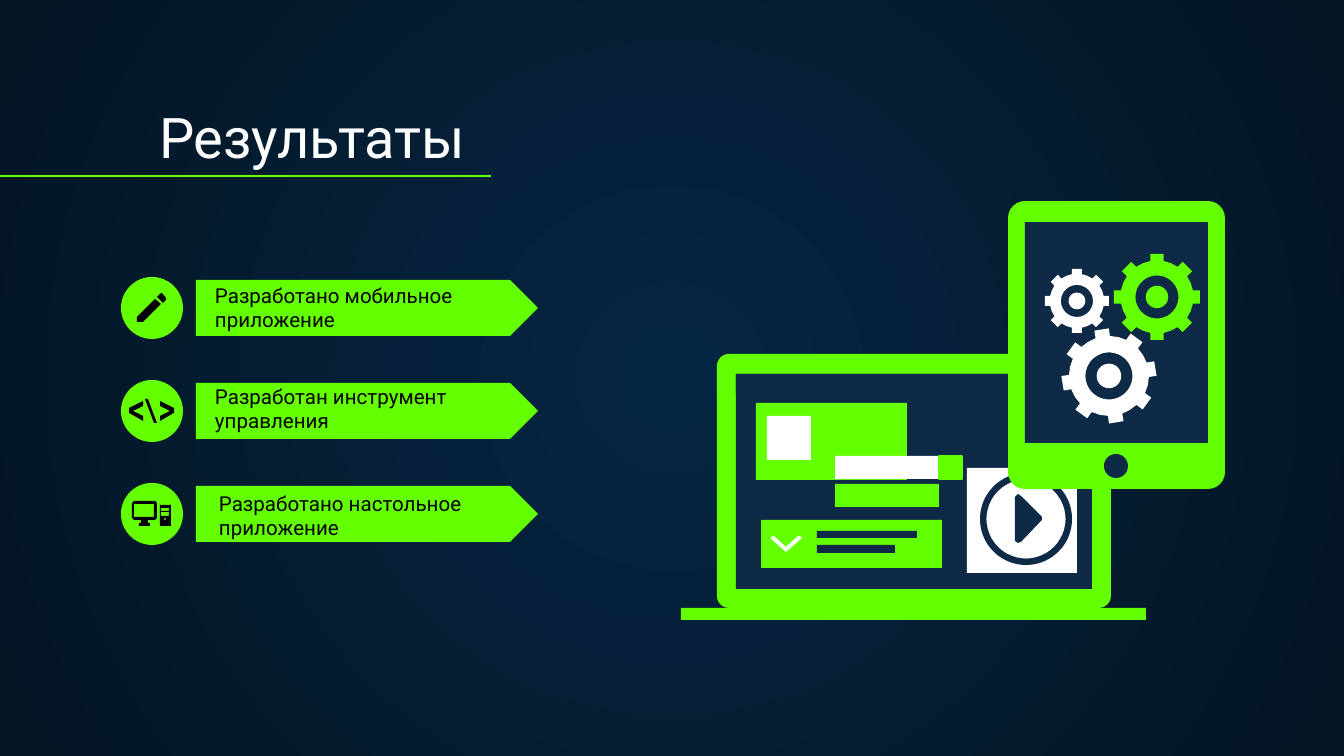
import math

from lxml import etree
from pptx import Presentation
from pptx import util as u
from pptx.dml.color import RGBColor
from pptx.enum import shapes, text
from pptx.oxml.ns import qn

SCALE = 914400 / 134.4
GREEN = RGBColor(0x64, 0xFF, 0x00)
NAVY = RGBColor(0x0E, 0x2A, 0x47)
GLOW = RGBColor(0x05, 0x26, 0x43)
EDGE = RGBColor(0x04, 0x15, 0x23)
WHITE = RGBColor(0xFF, 0xFF, 0xFF)
BLACK = RGBColor(0x00, 0x00, 0x00)
Shape = shapes.MSO_SHAPE


def px(value):
    return u.Emu(round(value * SCALE))


def box(left, top, width, height):
    right, bottom = left + width, top + height
    return [(left, top), (right, top), (right, bottom), (left, bottom)]


def circle(x, y, radius, steps=48):
    angles = [2 * math.pi * step / steps for step in range(steps)]
    return [(x + radius * math.cos(a), y + radius * math.sin(a)) for a in angles]


class SlideBuilder:
    font = "Roboto"
    inset = 13

    def __init__(self, presentation):
        self.slide = presentation.slides.add_slide(presentation.slide_layouts[6])

    def background(self, center, edge):
        fill = self.slide.background.fill
        fill.gradient()
        for stop, color in zip(fill.gradient_stops, (center, edge)):
            stop.color.rgb = color
        gradient = self.slide.element.find(".//" + qn("a:gradFill"))
        gradient.remove(gradient.find(qn("a:lin")))
        radial = etree.SubElement(gradient, qn("a:path"), {"path": "circle"})
        sides = dict.fromkeys("ltrb", "50000")
        etree.SubElement(radial, qn("a:fillToRect"), sides)

    def paint(self, shape, color):
        shape.shadow.inherit = False
        shape.fill.solid()
        shape.fill.fore_color.rgb = color
        shape.line.fill.background()
        return shape

    def preset(self, kind, left, top, width, height, color, adjustment=None):
        shape = self.slide.shapes.add_shape(
            kind, px(left), px(top), px(width), px(height))
        if adjustment is not None:
            shape.adjustments[0] = adjustment
        return self.paint(shape, color)

    def rectangle(self, left, top, width, height, color):
        return self.preset(Shape.RECTANGLE, left, top, width, height, color)

    def rounded(self, left, top, width, height, radius, color):
        self.preset(Shape.ROUNDED_RECTANGLE, left, top, width, height, color,
                    radius / min(width, height))

    def outline(self, color, *contours):
        builder = None
        for contour in contours:
            points = [(px(x), px(y)) for x, y in contour]
            if builder is None:
                builder = self.slide.shapes.build_freeform(*points[0])
            else:
                builder.move_to(*points[0])
            builder.add_line_segments(points[1:], close=True)
        self.paint(builder.convert_to_shape(), color)

    def gear(self, x, y, radius, color, tilt=0):
        body, half = 0.85 * radius, 0.155 * radius
        root = math.sqrt(body ** 2 - half ** 2)
        teeth = []
        for tooth in range(8):
            angle = math.radians(45 * tooth + tilt)
            profile = [(root, -half), (radius, -half), (radius, half), (root, half)]
            profile.append((body * math.cos(math.pi / 8), body * math.sin(math.pi / 8)))
            teeth += [(x + r * math.cos(angle) - s * math.sin(angle),
                       y + r * math.sin(angle) + s * math.cos(angle))
                      for r, s in profile]
        self.outline(color, teeth, circle(x, y, 0.5 * radius),
                     circle(x, y, 0.26 * radius))

    def label(self, left, top, width, height, words, size, color):
        frame = self.slide.shapes.add_textbox(
            px(left), px(top), px(width), px(height)).text_frame
        frame.word_wrap = True
        frame.vertical_anchor = text.MSO_ANCHOR.BOTTOM
        frame.margin_left = frame.margin_right = px(self.inset)
        frame.margin_top = frame.margin_bottom = px(self.inset)
        run = frame.paragraphs[0].add_run()
        run.text = words
        run.font.name = self.font
        run.font.size = u.Pt(size)
        run.font.color.rgb = color

    def line(self, x1, y1, x2, y2, color, weight):
        connector = self.slide.shapes.add_connector(
            shapes.MSO_CONNECTOR.STRAIGHT, px(x1), px(y1), px(x2), px(y2))
        connector.line.color.rgb = color
        connector.line.width = u.Pt(weight)
        etree.SubElement(connector.element.spPr, qn("a:effectLst"))


def draw_results(builder):
    builder.label(146, 94, 1152, 89, "Результаты", 30, WHITE)
    builder.line(0, 176, 491, 176, GREEN, 0.75)
    results = [
        ("Разработано мобильное приложение", 202, 274, 309, 71),
        ("Разработан инструмент управления", 202, 386, 305, 60),
        ("Разработано настольное приложение", 206, 488, 305, 65),
    ]
    for row, (words, *place) in enumerate(results):
        top = 277 + 103 * row
        builder.preset(Shape.PENTAGON, 196, top + 3, 342, 56, GREEN, 0.5)
        builder.preset(Shape.OVAL, 121, top, 62, 62, GREEN)
        builder.label(*place, words, 11, BLACK)


def draw_icons(builder):
    pencil_cap = [(157, 297), (160, 294), (162, 293), (166, 298), (166, 300), (163, 303)]
    pencil_body = [(155, 299), (137, 317), (137, 322), (143, 322), (161, 304)]
    builder.outline(BLACK, pencil_cap, pencil_body)

    bracket = [(143, 421), (129, 413), (129, 408), (143, 401),
               (143, 406), (133, 411), (143, 416)]
    builder.outline(BLACK, bracket)
    builder.outline(BLACK, [(154, 423), (145, 399), (148, 399), (157, 423)])
    builder.outline(BLACK, [(303 - x, y) for x, y in bracket])

    monitor = [(134, 501), (155, 501), (157, 503), (157, 518), (155, 520),
               (148, 520), (148, 523), (150, 523), (150, 526), (139, 526),
               (139, 523), (141, 523), (141, 520), (134, 520), (132, 518), (132, 503)]
    builder.outline(BLACK, monitor, box(134, 504, 20, 13))
    builder.outline(BLACK, box(160, 505, 11, 21), box(161, 508, 8, 3),
                    box(161, 512, 8, 4), circle(165, 519, 1))


def draw_laptop(builder):
    builder.rounded(717, 354, 394, 254, 12, GREEN)
    for block in [
        (736, 374, 356, 215, NAVY),
        (681, 608, 465, 12, GREEN),
        (736, 374, 356, 20, NAVY),
        (756, 403, 151, 77, GREEN),
        (767, 416, 44, 44, WHITE),
        (809, 520, 133, 48, GREEN),
        (817, 531, 100, 7, NAVY),
        (817, 545, 78, 8, NAVY),
        (761, 520, 48, 48, GREEN),
        (835, 484, 104, 23, GREEN),
        (835, 456, 104, 23, WHITE),
        (967, 468, 110, 105, WHITE),
    ]:
        builder.rectangle(*block)
    button = builder.rectangle(939, 456, 23, 23, GREEN)
    button.line.color.rgb = GREEN
    button.line.width = u.Pt(0.75)
    builder.outline(WHITE, [(771, 537), (774, 536), (786, 547), (798, 536),
                            (802, 537), (801, 539), (786, 552), (771, 539)])
    builder.preset(Shape.DONUT, 980, 473, 92, 92, NAVY, 0.07)
    builder.outline(NAVY, [(1015, 497), (1018, 494), (1021, 496), (1042, 517),
                           (1042, 520), (1021, 542), (1018, 543), (1015, 541)])


def draw_tablet(builder):
    builder.rounded(1008, 201, 217, 288, 17, GREEN)
    builder.rectangle(1025, 222, 183, 221, NAVY)
    builder.preset(Shape.OVAL, 1104, 454, 24, 24, NAVY)
    builder.gear(1157, 297, 43, GREEN)
    builder.gear(1077, 301, 32, WHITE)
    builder.gear(1109, 376, 47, WHITE, tilt=-9)


def main():
    presentation = Presentation()
    presentation.slide_width = px(1344)
    presentation.slide_height = px(756)
    builder = SlideBuilder(presentation)
    builder.background(GLOW, EDGE)
    draw_results(builder)
    draw_icons(builder)
    draw_laptop(builder)
    draw_tablet(builder)
    presentation.save("out.pptx")


if __name__ == "__main__":
    main()
